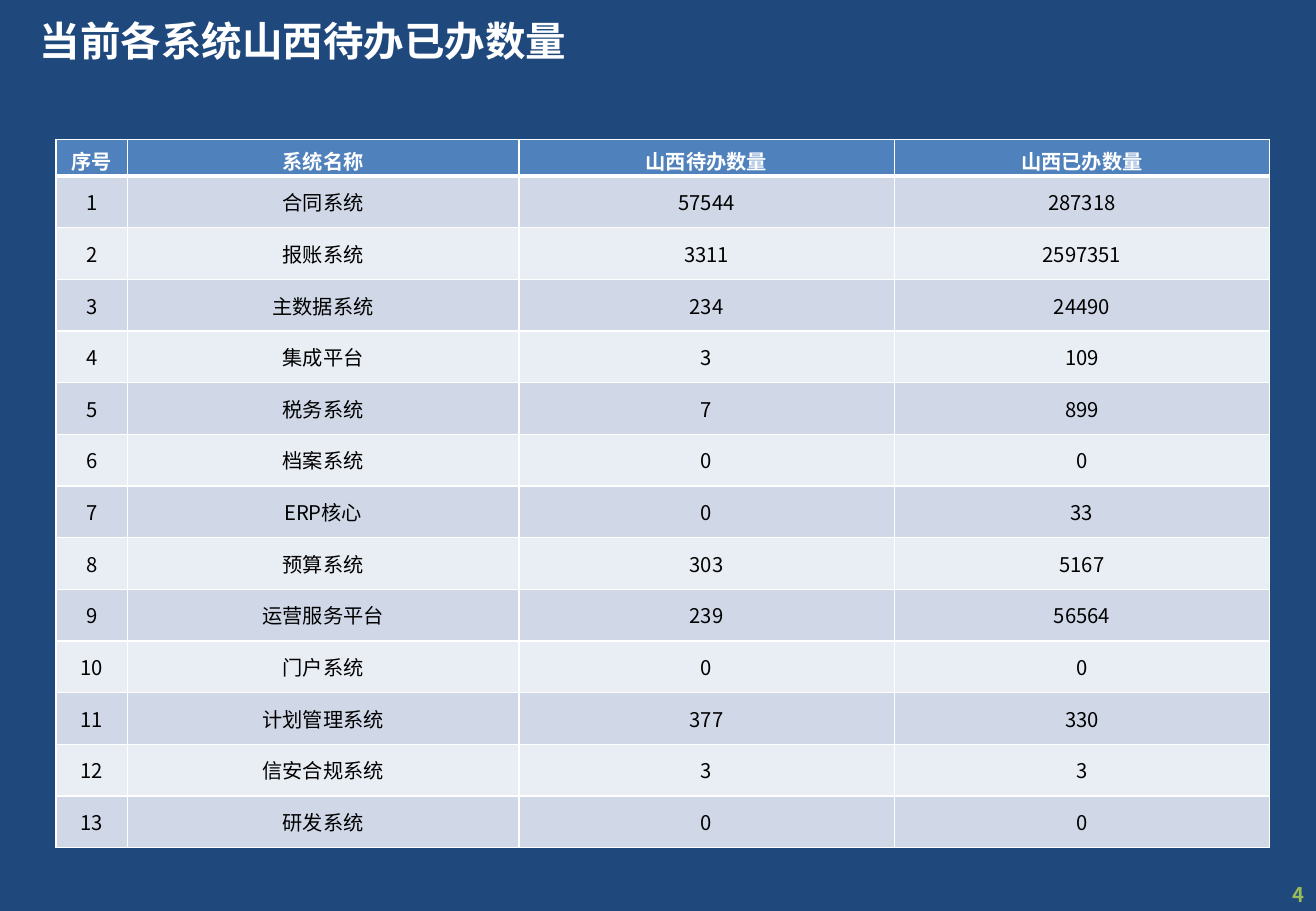
"""Build the slide that counts pending and finished tasks per system."""
from lxml import etree
from pptx import Presentation
from pptx.dml.color import RGBColor
from pptx.enum.text import MSO_ANCHOR, PP_ALIGN
from pptx.oxml.ns import qn
from pptx.util import Inches, Pt

LEFT, CENTER, RIGHT = PP_ALIGN.LEFT, PP_ALIGN.CENTER, PP_ALIGN.RIGHT
MIDDLE = MSO_ANCHOR.MIDDLE
FONT = "Noto Sans CJK SC"
COLORS = {
    "background": "1F497D",
    "header": "4F81BD",
    "odd": "D0D8E8",
    "even": "E9EDF4",
    "white": "FFFFFF",
    "black": "000000",
    "number": "9BBB59",
}

HEADERS = ("序号", "系统名称", "山西待办数量", "山西已办数量")
SYSTEMS = (
    ("合同系统", 57544, 287318),
    ("报账系统", 3311, 2597351),
    ("主数据系统", 234, 24490),
    ("集成平台", 3, 109),
    ("税务系统", 7, 899),
    ("档案系统", 0, 0),
    ("ERP核心", 0, 33),
    ("预算系统", 303, 5167),
    ("运营服务平台", 239, 56564),
    ("门户系统", 0, 0),
    ("计划管理系统", 377, 330),
    ("信安合规系统", 3, 3),
    ("研发系统", 0, 0),
)


def rgb(name):
    return RGBColor.from_string(COLORS[name])


def write(tf, text, size=12, color="black", bold=False, align=LEFT):
    p = tf.paragraphs[0]
    p.alignment = align
    r = p.add_run()
    r.text = str(text)
    r.font.size = Pt(size)
    r.font.bold = bold
    r.font.name = FONT
    r.font.color.rgb = rgb(color)
    etree.SubElement(r.font._element, qn("a:ea"), typeface=FONT)


class Deck:
    def __init__(self, width, height):
        self.prs = Presentation()
        self.prs.slide_width = Inches(width)
        self.prs.slide_height = Inches(height)
        self.s = None

    def slide(self, background):
        self.s = self.prs.slides.add_slide(self.prs.slide_layouts[6])
        fill = self.s.background.fill
        fill.solid()
        fill.fore_color.rgb = rgb(background)

    def text(self, box, text, top=0, **style):
        tf = self.s.shapes.add_textbox(*map(Inches, box)).text_frame
        tf.word_wrap = True
        tf.margin_top = Inches(top)
        tf.margin_bottom = 0
        write(tf, text, **style)

    def border(self, cell, bottom):
        tc_pr = cell._tc.get_or_add_tcPr()
        widths = {"lnL": 1, "lnR": 1, "lnT": 1, "lnB": bottom}
        for i, (side, width) in enumerate(widths.items()):
            ln = etree.Element(qn(f"a:{side}"), w=str(Pt(width)))
            fill = etree.SubElement(ln, qn("a:solidFill"))
            etree.SubElement(fill, qn("a:srgbClr"), val=COLORS["white"])
            tc_pr.insert(i, ln)

    def cell(self, cell, text, fill, bottom=1, **style):
        cell.fill.solid()
        cell.fill.fore_color.rgb = rgb(fill)
        cell.vertical_anchor = MIDDLE
        write(cell.text_frame, text, align=CENTER, **style)
        self.border(cell, bottom)

    def table(self, box, widths, heights, headers, rows):
        table = self.s.shapes.add_table(
            len(heights), len(widths), *map(Inches, box)).table
        for column, width in zip(table.columns, widths):
            column.width = Inches(width)
        for row, height in zip(table.rows, heights):
            row.height = Inches(height)
        for j, text in enumerate(headers):
            cell = table.cell(0, j)
            cell.margin_bottom = 0
            self.cell(cell, text, "header", bottom=3, color="white", bold=True)
        for i, row in enumerate(rows, 1):
            for j, value in enumerate((i, *row)):
                self.cell(table.cell(i, j), value, "odd" if i % 2 else "even")


def main():
    deck = Deck(10.83, 7.5)
    deck.slide("background")
    deck.text((10.02, 7.23, 0.81, 0.3), "4", top=0.03,
              color="number", bold=True, align=RIGHT)
    deck.text((0.23, 0.13, 9.75, 0.64), "当前各系统山西待办已办数量",
              size=24, color="white", bold=True)
    heights = [0.3] + [5.53 / len(SYSTEMS)] * len(SYSTEMS)
    deck.table((0.46, 1.15, 10, 5.83), (0.59, 3.22, 3.09, 3.09), heights,
               HEADERS, SYSTEMS)
    deck.prs.save("out.pptx")


if __name__ == "__main__":
    main()
